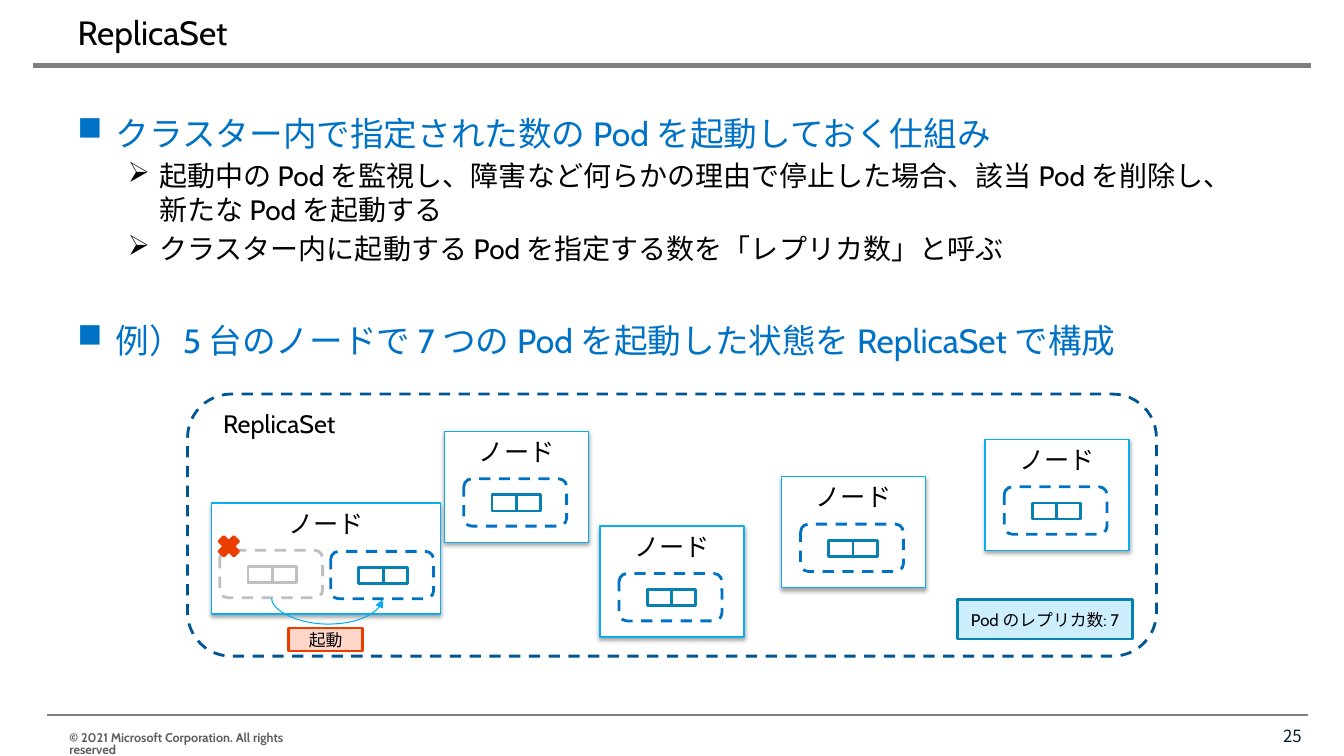
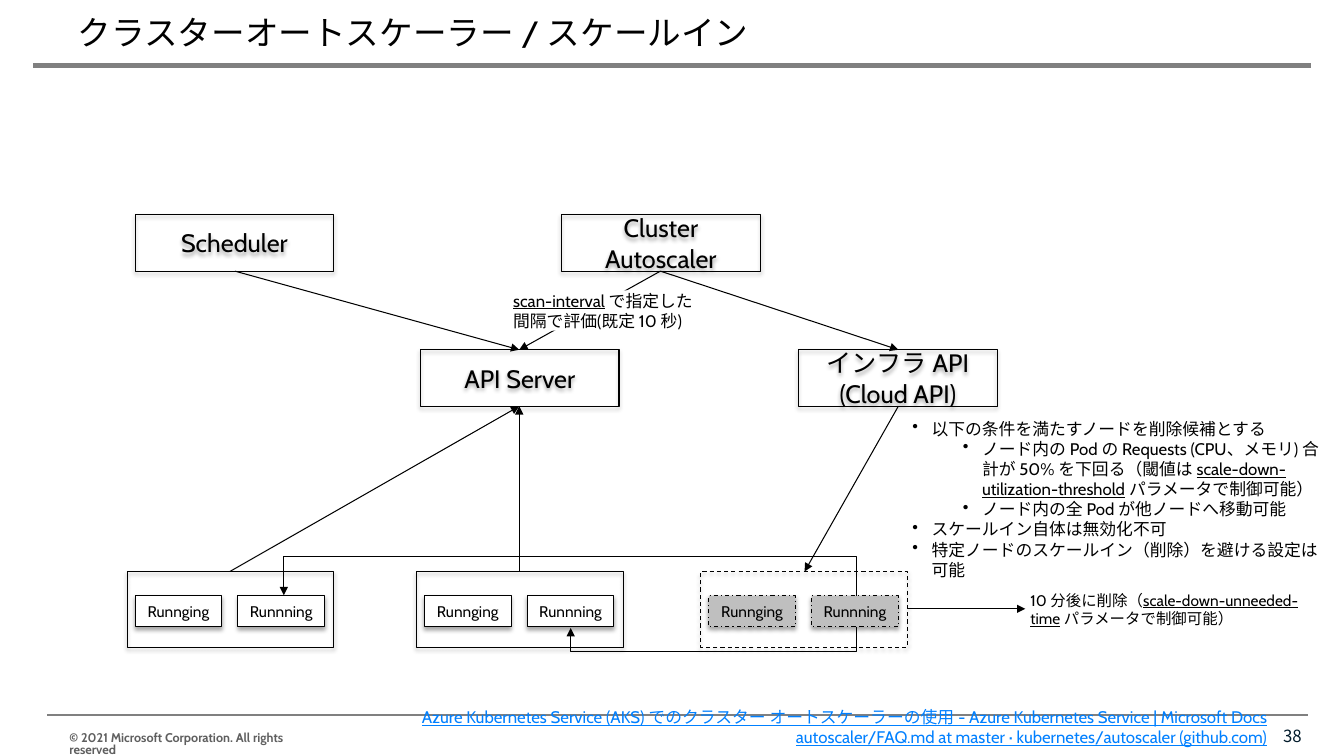
from dataclasses import dataclass

from lxml import etree
from pptx import Presentation
from pptx import util as u
from pptx.dml.color import RGBColor
from pptx.enum import dml, shapes, text
from pptx.oxml.ns import qn

SCALE = 9144
SHAPE = shapes.MSO_SHAPE
LINK = shapes.MSO_CONNECTOR
ALIGN = text.PP_ALIGN
ANCHOR = text.MSO_ANCHOR
DASH = dml.MSO_LINE


@dataclass(frozen=True)
class Theme:
    font: str = "Cabin"
    number_font: str = "Noto Sans CJK JP"
    ink: str = "000000"
    white: str = "FFFFFF"
    rule: str = "808080"
    copyright: str = "5F5F5F"
    number: str = "021B2B"
    blue: str = "0072C6"
    navy: str = "005694"
    sky: str = "09AEEF"
    arc: str = "03ADEF"
    teal: str = "0781B1"
    pale: str = "CDEFFD"
    grey: str = "BFBFBF"
    red: str = "EB3D00"
    pink: str = "FFD6C8"
    link: str = "0080FF"
    heading: int = 24
    point: int = 20
    label: int = 18
    note: int = 12
    small: int = 11
    legal: int = 9


THEME = Theme()


def px(value):
    return u.Emu(value * SCALE)


def add_element(parent, tag, **values):
    element = etree.SubElement(parent, qn(tag))
    for name, value in values.items():
        element.set(name, str(value))
    return element


def add_bullet(para, mark, left, hang):
    properties = para._p.get_or_add_pPr()
    properties.set("marL", str(px(left)))
    properties.set("indent", str(px(-hang)))
    add_element(properties, "a:buChar", char=mark)


def write(shape, paras, size=THEME.note, color=THEME.ink, face=THEME.font,
          bold=False, align=ALIGN.LEFT, anchor=ANCHOR.TOP, inset=None):
    frame = shape.text_frame
    settings = {"word_wrap": True, "auto_size": text.MSO_AUTO_SIZE.NONE,
                "vertical_anchor": anchor}
    if inset is not None:
        sides = ("left", "right", "top", "bottom")
        settings.update({f"margin_{side}": px(inset) for side in sides})
    for name, value in settings.items():
        setattr(frame, name, value)
    for index, item in enumerate(paras):
        item = item if isinstance(item, dict) else {"runs": [item]}
        para = frame.paragraphs[0] if index == 0 else frame.add_paragraph()
        para.alignment = align
        if "before" in item:
            para.space_before = u.Pt(item["before"])
        if "bullet" in item:
            add_bullet(para, *item["bullet"])
        for part in item["runs"]:
            words, underline = part if isinstance(part, tuple) else (part, False)
            span = para.add_run()
            span.text = words
            values = {"name": face, "size": u.Pt(item.get("size", size)),
                      "bold": bold, "underline": underline}
            for name, value in values.items():
                setattr(span.font, name, value)
            tint = item.get("color", color)
            span.font.color.rgb = RGBColor.from_string(tint)
            add_element(span._r.get_or_add_rPr(), "a:ea", typeface=face)


def add_text(page, box, paras, **format_values):
    label = page.shapes.add_textbox(*map(px, box))
    write(label, paras, **format_values)
    return label


def set_line(shape, color, width, dash=None):
    shape.line.color.rgb = RGBColor.from_string(color)
    shape.line.width = u.Pt(width)
    if dash:
        shape.line.dash_style = dash


def add_shadow(shape):
    effects = shape._element.spPr.find(qn("a:effectLst"))
    shadow = add_element(effects, "a:outerShdw", blurRad=u.Pt(3.1),
                         dist=u.Pt(1.8), dir=5400000, rotWithShape=0)
    color = add_element(shadow, "a:srgbClr", val=THEME.ink)
    add_element(color, "a:alpha", val=35000)


def add_box(page, box, fill=None, line=None, kind=SHAPE.RECTANGLE,
            shadow=False, paras=(), **format_values):
    shape = page.shapes.add_shape(kind, *map(px, box))
    shape.shadow.inherit = False
    if fill:
        shape.fill.solid()
        shape.fill.fore_color.rgb = RGBColor.from_string(fill)
    else:
        shape.fill.background()
    if line:
        set_line(shape, *line)
    else:
        shape.line.fill.background()
    if shadow:
        add_shadow(shape)
    if paras:
        write(shape, paras, **{"align": ALIGN.CENTER, "anchor": ANCHOR.MIDDLE,
                               **format_values})
    return shape


def add_line(page, start, end, color=THEME.ink, width=0.75, arrow=True,
             kind=LINK.STRAIGHT):
    line = page.shapes.add_connector(kind, *map(px, (*start, *end)))
    set_line(line, color, width)
    if arrow:
        add_element(line.line._get_or_add_ln(), "a:tailEnd", type="triangle")
    add_element(line._element.spPr, "a:effectLst")
    return line


def add_loop(page, kind, start_x, end_x, y, reach, color=THEME.ink):
    span = abs(end_x - start_x)
    left, top = (start_x + end_x) // 2, y - span // 2
    down = reach > 0
    ends = [top, top + span]
    if down == (end_x > start_x):
        ends.reverse()
    loop = add_line(page, (left, ends[0]), (left + 1, ends[1]), color, kind=kind)
    properties = loop._element.spPr
    properties.find(qn("a:xfrm")).set("rot", str((90 if down else 270) * 60000))
    geometry = properties.find(qn("a:prstGeom"))
    guides = geometry.find(qn("a:avLst"))
    if guides is None:
        guides = add_element(geometry, "a:avLst")
    add_element(guides, "a:gd", name="adj1", fmla=f"val {abs(reach) * 100000}")


def add_page(deck, title, number):
    page = deck.slides.add_slide(deck.slide_layouts[5])
    add_text(page, (59, 722, 240, 23),
             ["© 2021 Microsoft Corporation. All rights reserved"],
             size=THEME.legal, color=THEME.copyright,
             bold=True).text_frame.paragraphs[0].line_spacing = 0.8
    add_line(page, (33, 65), (1300, 65), THEME.rule, 3, arrow=False)
    add_line(page, (47, 709), (1297, 709), THEME.rule, 1.5, arrow=False)
    heading = page.shapes.title
    bounds = dict(zip(("left", "top", "width", "height"), (67, 8, 1200, 47)))
    for name, value in bounds.items():
        setattr(heading, name, px(value))
    write(heading, [title], size=THEME.heading, anchor=ANCHOR.MIDDLE)
    add_text(page, (990, 710, 311, 40), [str(number)], face=THEME.number_font,
             color=THEME.number, align=ALIGN.RIGHT, anchor=ANCHOR.MIDDLE)
    return page


def add_pod(page, left, top, edge=THEME.blue, cell=THEME.teal):
    add_box(page, (left, top, 102, 47), line=(edge, 2, DASH.DASH),
            kind=SHAPE.ROUNDED_RECTANGLE)
    for column in range(2):
        add_box(page, (left + 28 + 24 * column, top + 16, 24, 16), line=(cell, 2))


def add_node(page, left, top, width=143):
    add_box(page, (left, top, width, 110), THEME.white, (THEME.sky, 1),
            shadow=True, paras=["ノード"], size=THEME.label, anchor=ANCHOR.TOP)


def add_replica_diagram(page, left, top):
    add_box(page, (left, top, 961, 260), line=(THEME.navy, 2, DASH.DASH),
            kind=SHAPE.ROUNDED_RECTANGLE)
    add_text(page, (left + 16, top + 9, 150, 40), ["ReplicaSet"],
             size=THEME.label, align=ALIGN.CENTER)
    node_x, node_y = left + 24, top + 108
    add_node(page, node_x, node_y, 227)
    add_pod(page, node_x + 8, node_y + 47, THEME.grey, THEME.grey)
    add_pod(page, node_x + 118, node_y + 48)
    for across, down in ((255, 37), (409, 131), (589, 82), (791, 45)):
        add_node(page, left + across, top + down)
        add_pod(page, left + across + 19, top + down + 47)
    add_box(page, (left + 27, top + 137, 28, 28), THEME.red, (THEME.red, 2),
            kind=SHAPE.MATH_MULTIPLY)
    add_loop(page, LINK.CURVE, left + 83, left + 193, top + 203, 26, THEME.arc)
    add_box(page, (left + 100, top + 232, 74, 23), THEME.pink, (THEME.red, 2),
            paras=["起動"])
    add_box(page, (left + 764, top + 204, 173, 39), THEME.pale, (THEME.teal, 2),
            paras=["Pod のレプリカ数: 7"])


def build_replica_page(deck):
    page = add_page(deck, "ReplicaSet", 25)
    main = {"bullet": ("■", 38, 38), "size": THEME.heading, "color": THEME.blue}
    detail = {"bullet": ("➢", 81, 31), "size": THEME.point, "before": 4}
    add_text(page, (67, 107, 1200, 270), [
        {**main, "runs": ["クラスター内で指定された数の Pod を起動しておく仕組み"]},
        {**detail, "runs": ["起動中の Pod を監視し、障害など何らかの理由で停止した場合、"
                            "該当 Pod を削除し、　新たな Pod を起動する"]},
        {**detail, "runs": ["クラスター内に起動する Pod を指定する数を「レプリカ数」と呼ぶ"]},
        {**main, "before": 39,
         "runs": ["例）5 台のノードで 7 つの Pod を起動した状態を ReplicaSet で構成"]},
    ])
    add_replica_diagram(page, 186, 391)


def add_service(page, left, top, paras):
    add_box(page, (left, top, 197, 56), line=(THEME.ink, 0.75), shadow=True,
            paras=paras, size=THEME.label)


def add_worker(page, left, top, leaving=False):
    frame_dash, pod_dash = (DASH.DASH, DASH.DASH_DOT) if leaving else (None, None)
    add_box(page, (left, top, 205, 75), line=(THEME.ink, 0.75, frame_dash),
            shadow=True)
    for column, state in enumerate(("Runnging", "Runnning")):
        add_box(page, (left + 8 + 102 * column, top + 24, 86, 31),
                THEME.grey if leaving else THEME.white,
                (THEME.ink, 0.75, pod_dash), shadow=True, paras=[state],
                size=THEME.small)


def add_conditions(page, box):
    outer = {"bullet": ("•", 19, 19)}
    inner = {"bullet": ("•", 69, 19)}
    add_text(page, box, [
        {**outer, "runs": ["以下の条件を満たすノードを削除候補とする"]},
        {**inner, "runs": [
            "ノード内の Pod の Requests (CPU、メモリ) 合計が 50% を下回る（閾値は ",
            ("scale-down-utilization-threshold", True), " パラメータで制御可能）"]},
        {**inner, "runs": ["ノード内の全 Pod が他ノードへ移動可能"]},
        {**outer, "runs": ["スケールイン自体は無効化不可"]},
        {**outer, "runs": ["特定ノードのスケールイン（削除）を避ける設定は可能"]},
    ], inset=0)


def build_scale_in_page(deck):
    page = add_page(deck, "クラスターオートスケーラー / スケールイン", 38)
    add_service(page, 557, 213, ["Cluster Autoscaler"])
    add_service(page, 134, 213, ["Scheduler"])
    add_service(page, 417, 347, ["API Server"])
    add_service(page, 792, 347, ["インフラ API", "(Cloud API)"])
    for left in (126, 413, 695):
        add_worker(page, left, 567, leaving=left == 695)
    scaler, server, infra = (655, 269), (515, 347), (891, 347)
    for start, end in (((233, 269), server), (scaler, server), (scaler, infra),
                       ((515, 567), (515, 403)), ((228, 567), (515, 403)),
                       ((891, 403), (798, 567)), ((900, 604), (1017, 604))):
        add_line(page, start, end)
    add_loop(page, LINK.ELBOW, 849, 281, 591, -40)
    add_loop(page, LINK.ELBOW, 849, 566, 622, 25)
    add_conditions(page, (905, 415, 410, 162))
    add_box(page, (509, 288, 190, 40), THEME.white, paras=[
        {"runs": [("scan-interval", True), " で指定した間隔で評価(既定 10 秒)"]}],
        align=ALIGN.LEFT, inset=0)
    add_text(page, (1022, 586, 282, 37), [
        {"runs": ["10 分後に削除（", ("scale-down-unneeded-time", True),
                  " パラメータで制御可能）"]}], size=THEME.small, inset=0)
    sources = (
        "Azure Kubernetes Service (AKS) でのクラスター オートスケーラーの使用"
        " - Azure Kubernetes Service | Microsoft Docs",
        "autoscaler/FAQ.md at master · kubernetes/autoscaler (github.com)")
    add_text(page, (347, 696, 920, 50), [(source, True) for source in sources],
             color=THEME.link, align=ALIGN.RIGHT)


def main():
    deck = Presentation()
    deck.slide_width, deck.slide_height = px(1333), px(750)
    build_replica_page(deck)
    build_scale_in_page(deck)
    deck.save("out.pptx")


if __name__ == "__main__":
    main()
